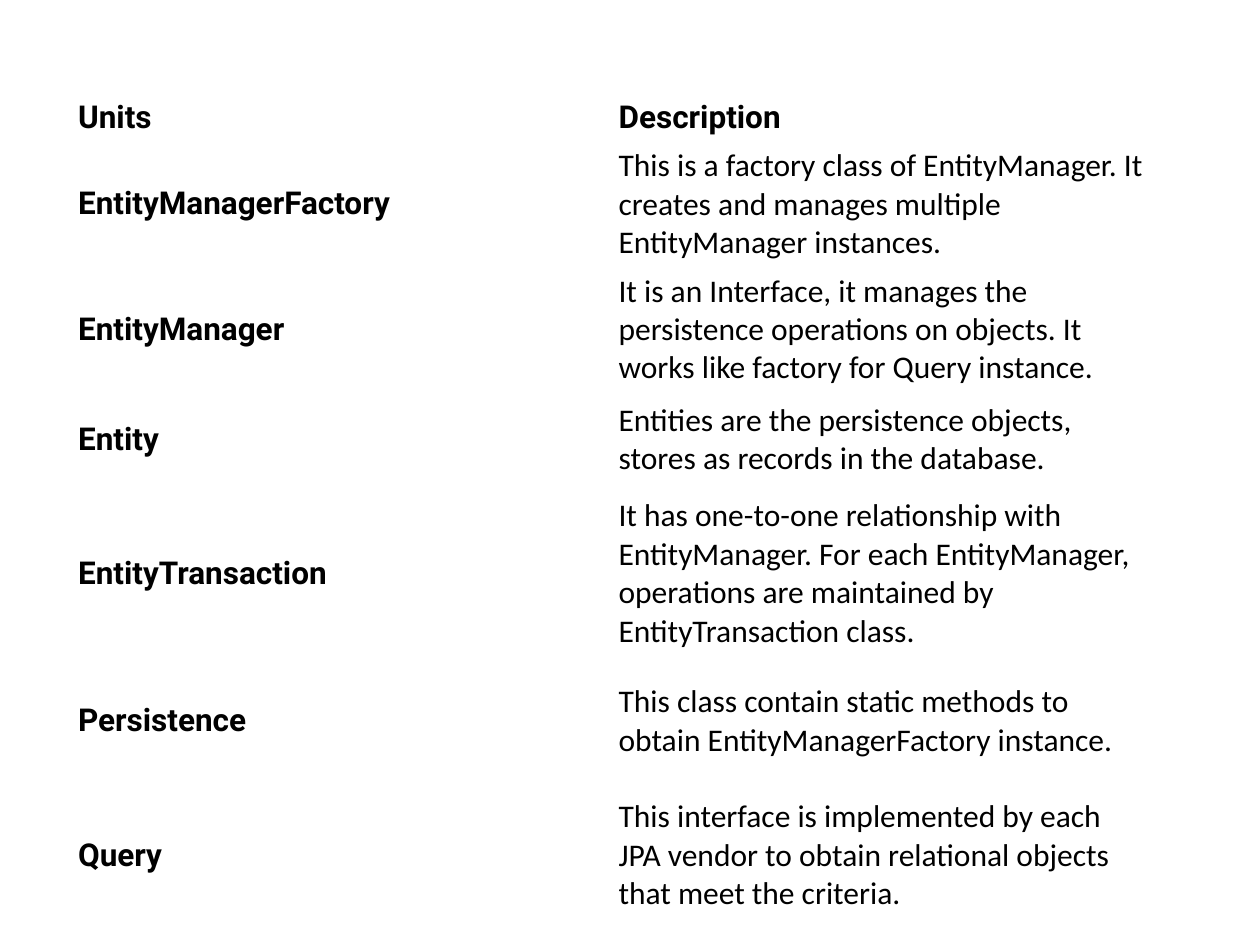
from pptx import Presentation
from pptx.dml.color import RGBColor
from pptx.enum.text import MSO_ANCHOR
from pptx.util import Inches, Pt

MIDDLE = MSO_ANCHOR.MIDDLE
COLORS = {"text": "000000", "cell": "FFFFFF"}
HEADING = {"name": "Roboto", "size": Pt(18), "bold": True}
BODY = {"name": "Calibri", "size": Pt(18), "bold": False}
CELL_FORMAT = {
    "vertical_anchor": MIDDLE,
    "margin_left": Inches(0.04),
    "margin_right": Inches(0.04),
    "margin_top": Inches(0.04),
    "margin_bottom": Inches(0.04),
}

# Row height in inches, unit, description
UNITS = [
    (0.34, "Units", "Description"),
    (0.96, "EntityManagerFactory",
     "This is a factory class of EntityManager. It creates and manages "
     "multiple EntityManager instances."),
    (0.96, "EntityManager",
     "It is an Interface, it manages the persistence operations on objects. "
     "It works like factory for Query instance."),
    (0.75, "Entity",
     "Entities are the persistence objects, stores as records in the database."),
    (1.38, "EntityTransaction",
     "It has one-to-one relationship with EntityManager. For each EntityManager, "
     "operations are maintained by EntityTransaction class."),
    (0.96, "Persistence",
     "This class contain static methods to obtain EntityManagerFactory instance."),
    (1.17, "Query",
     "This interface is implemented by each JPA vendor to obtain relational "
     "objects that meet the criteria."),
]

deck = Presentation()
deck.slide_width, deck.slide_height = Inches(10), Inches(7.5)
page = deck.slides.add_slide(deck.slide_layouts[6])

# Table of units
total_height = sum(height for height, *_ in UNITS)
table = page.shapes.add_table(
    len(UNITS), 2, Inches(0.58), Inches(0.75), Inches(8.58), Inches(total_height)
).table
table.horz_banding = False

for row, (height, *texts) in enumerate(UNITS):
    table.rows[row].height = Inches(height)
    for column, text in enumerate(texts):
        cell = table.cell(row, column)
        for name, value in CELL_FORMAT.items():
            setattr(cell, name, value)
        cell.fill.solid()
        cell.fill.fore_color.rgb = RGBColor.from_string(COLORS["cell"])

        # Header row and unit names are bold
        span = cell.text_frame.paragraphs[0].add_run()
        span.text = text
        font_format = HEADING if row == 0 or column == 0 else BODY
        for name, value in font_format.items():
            setattr(span.font, name, value)
        span.font.color.rgb = RGBColor.from_string(COLORS["text"])

deck.save("out.pptx")
